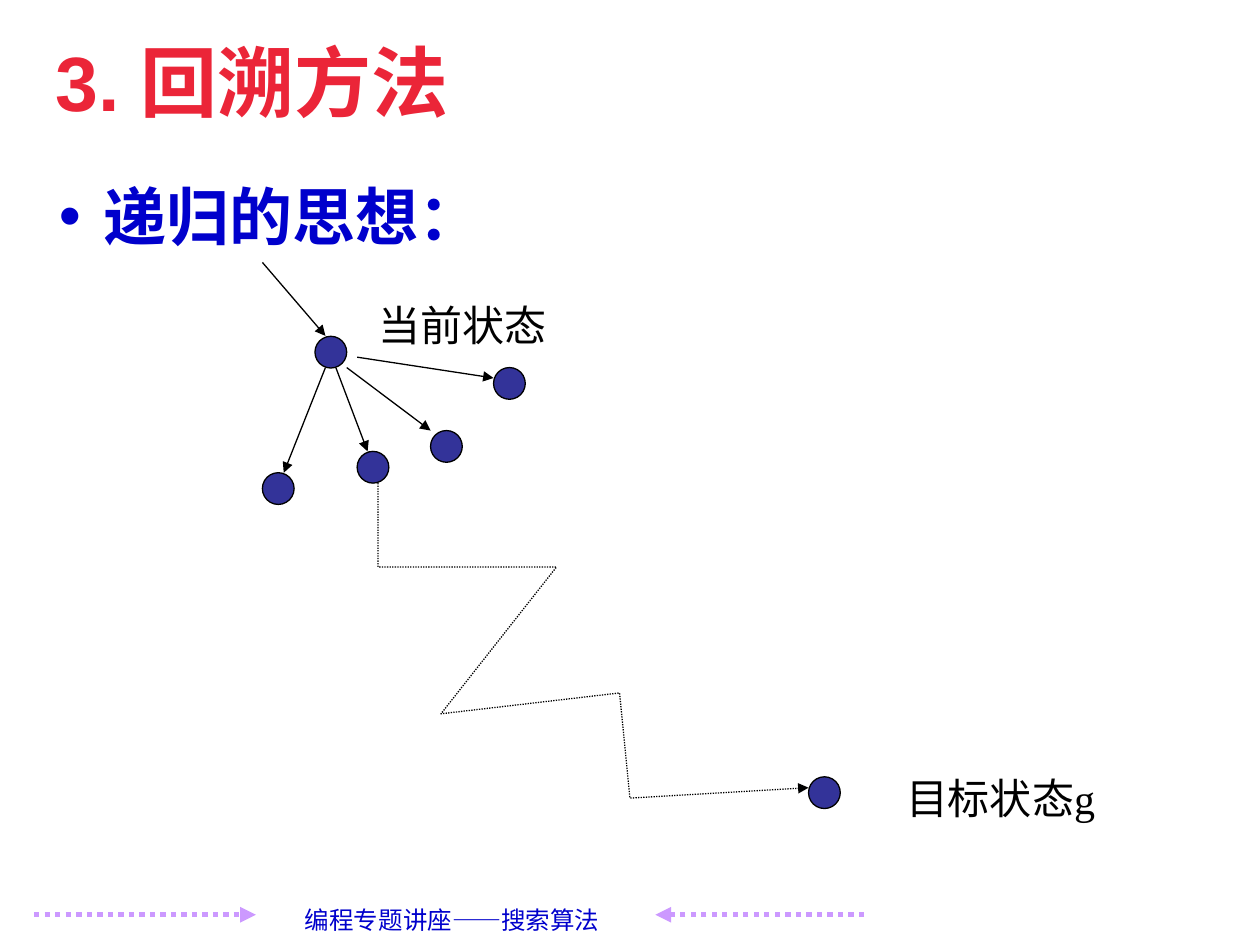
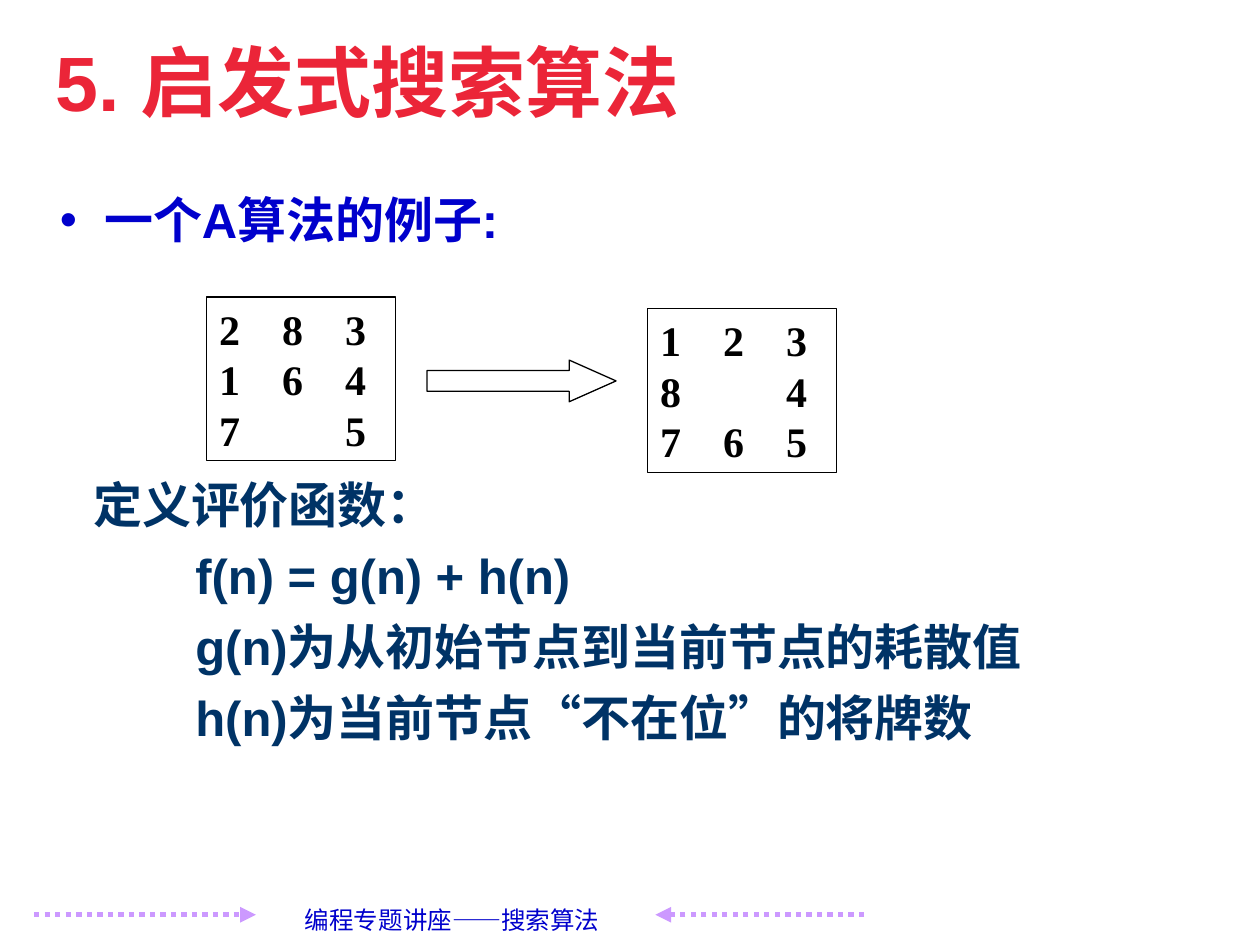
from lxml import etree
from pptx import Presentation
from pptx.dml.color import RGBColor
from pptx.enum import dml, lang, shapes, text
from pptx.oxml import ns
from pptx.util import Cm, Pt

COLORS = {
    "title": "EB2538", "heading": "0000CC", "definition": "003366",
    "footer_arrow": "CC99FF", "node": "333399", "black": "000000",
}
SANS, SERIF = "Arial", "Times New Roman"

# All positions and sizes are in centimetres.
TITLE_BOX = (0.86, 0.51, 22.76, 2.24)
FOOTER = "编程专题讲座——搜索算法"
FOOTER_BOX = (5.54, 18.11, 7.57, 0.86)
FOOTER_ARROWS = [((0.69, 18.44), (5.16, 18.44)), ((17.42, 18.44), (13.21, 18.44))]

BACKTRACKING = {
    "title": "3. 回溯方法",
    "heading": "递归的思想：",
    "body": (0.64, 3.23, 23.6, 14.66),
    "nodes": [(6.35, 6.78), (7.2, 9.1), (16.3, 15.66),
              (8.68, 8.68), (5.29, 9.53), (9.95, 7.41)],
    "moves": [((5.29, 5.29), (6.56, 6.77)), ((6.77, 7.41), (7.41, 9.1)),
              ((6.56, 7.41), (5.72, 9.53)), ((6.99, 7.41), (8.68, 8.68)),
              ((7.2, 7.2), (9.95, 7.62))],
    "route": [(7.62, 9.74), (7.62, 11.43), (11.22, 11.43), (8.89, 14.39),
              (12.49, 13.97), (12.7, 16.09), (16.3, 15.88)],
    "labels": [("当前状态", (7.37, 5.92, 3.89, 1.27)),
               ("目标状态g", (17.91, 15.44, 4.52, 1.27))],
}
NODE_SIZE = 0.64

HEURISTIC = {
    "title": "5. 启发式搜索算法",
    "heading": "一个A算法的例子:",
    "body": (0.66, 3.23, 24.74, 14.66),
    # text, indent, space before in points
    "definitions": [("定义评价函数：", 0.97, 129),
                    ("f(n) = g(n) + h(n)", 3.03, 7),
                    ("g(n)为从初始节点到当前节点的耗散值", 3.03, 7),
                    ("h(n)为当前节点“不在位”的将牌数", 3.03, 7)],
    "boards": [((4.17, 5.99), ["283", "164", "7 5"]),
               ((13.06, 6.22), ["123", "8 4", "765"])],
    "arrow": (8.61, 7.26, 3.81, 0.84),
}
BOARD_SIZE = (3.81, 3.3)
TILE_STEP = 1.27


def cm(values):
    return [Cm(value) for value in values]


def rgb(name):
    return RGBColor.from_string(COLORS[name])


def add_xml(parent, tag, **attributes):
    element = etree.SubElement(parent, ns.qn(tag))
    for name, value in attributes.items():
        element.set(name, str(value))
    return element


def write(paragraph, content, size, color, font=SANS, bold=False, align=None,
          before=0, spacing=None):
    run = paragraph.add_run()
    run.text = content
    run.font.name, run.font.size, run.font.bold = font, Pt(size), bold
    run.font.color.rgb = rgb(color)
    run.font.language_id = lang.MSO_LANGUAGE_ID.SIMPLIFIED_CHINESE
    paragraph.alignment = align or text.PP_ALIGN.LEFT
    paragraph.space_before = Pt(before)
    if spacing:
        paragraph.line_spacing = spacing


def indent(paragraph, left, first=0):
    properties = paragraph._p.get_or_add_pPr()
    properties.set("marL", str(Cm(left)))
    properties.set("indent", str(Cm(first)))
    return properties


def style_line(shape, color="black", width=0.75, dotted=False, arrow=False):
    shape.line.color.rgb = rgb(color)
    shape.line.width = Pt(width)
    if dotted:
        shape.line.dash_style = dml.MSO_LINE.ROUND_DOT
    if arrow:
        add_xml(shape.line._get_or_add_ln(), "a:tailEnd", type="triangle")


def add_arrow(slide, start, end, **line):
    connector = slide.shapes.add_connector(
        shapes.MSO_CONNECTOR.STRAIGHT, *cm(start + end))
    style_line(connector, arrow=True, **line)
    add_xml(connector._element.spPr, "a:effectLst")


def style_shape(shape, fill=None, **line):
    shape.shadow.inherit = False
    if fill:
        shape.fill.solid()
        shape.fill.fore_color.rgb = rgb(fill)
    else:
        shape.fill.background()
    style_line(shape, **line)


def add_text_box(slide, box, wrap=True):
    frame = slide.shapes.add_textbox(*cm(box)).text_frame
    frame.word_wrap = wrap
    return frame


def add_slide(presentation, content, heading_size, spacing, before=0):
    """Add a slide with title, footer and bulleted heading; return it and its body."""
    slide = presentation.slides.add_slide(presentation.slide_layouts[5])
    for start, end in FOOTER_ARROWS:
        add_arrow(slide, start, end, color="footer_arrow", width=3, dotted=True)
    footer = add_text_box(slide, FOOTER_BOX)
    footer.margin_right = Cm(0.66)
    write(footer.paragraphs[0], FOOTER, 14, "heading", align=text.PP_ALIGN.CENTER)

    title = slide.shapes.title
    title.left, title.top, title.width, title.height = cm(TITLE_BOX)
    title.text_frame.vertical_anchor = text.MSO_ANCHOR.MIDDLE
    title.text_frame.auto_size = text.MSO_AUTO_SIZE.NONE
    write(title.text_frame.paragraphs[0], content["title"], 44, "title", bold=True)

    body = add_text_box(slide, content["body"])
    paragraph = body.paragraphs[0]
    write(paragraph, content["heading"], heading_size, "heading", bold=True,
          before=before, spacing=spacing)
    properties = indent(paragraph, 1.19, -0.89)
    add_xml(add_xml(properties, "a:buClr"), "a:srgbClr", val=COLORS["heading"])
    add_xml(properties, "a:buFont", typeface=SANS)
    add_xml(properties, "a:buChar", char="•")
    return slide, body


def add_board(slide, position, rows):
    """Add a puzzle board; a space in a row is the empty tile."""
    board = slide.shapes.add_shape(
        shapes.MSO_SHAPE.RECTANGLE, *cm(position + BOARD_SIZE))
    style_shape(board)
    frame = board.text_frame
    frame.vertical_anchor = text.MSO_ANCHOR.MIDDLE
    for index, row in enumerate(rows):
        paragraph = frame.add_paragraph() if index else frame.paragraphs[0]
        tiles = "\t".join(tile.strip() for tile in row)
        write(paragraph, tiles, 24, "black", font=SERIF, bold=True)
        tabs = add_xml(paragraph._p.get_or_add_pPr(), "a:tabLst")
        for step in range(1, len(row)):
            add_xml(tabs, "a:tab", pos=Cm(step * TILE_STEP), algn="l")


def build_backtracking(presentation):
    content = BACKTRACKING
    slide, _ = add_slide(presentation, content, 36, 1.15)
    for position in content["nodes"]:
        node = slide.shapes.add_shape(
            shapes.MSO_SHAPE.OVAL, *cm(position + (NODE_SIZE, NODE_SIZE)))
        style_shape(node, fill="node")
    for start, end in content["moves"]:
        add_arrow(slide, start, end)
    first, *rest = [cm(point) for point in content["route"]]
    builder = slide.shapes.build_freeform(*first)
    builder.add_line_segments(rest, close=False)
    style_shape(builder.convert_to_shape(), dotted=True, arrow=True)
    for label, box in content["labels"]:
        frame = add_text_box(slide, box, wrap=False)
        frame.vertical_anchor = text.MSO_ANCHOR.MIDDLE
        write(frame.paragraphs[0], label, 24, "black", font=SERIF,
              align=text.PP_ALIGN.CENTER)


def build_heuristic(presentation):
    content = HEURISTIC
    slide, body = add_slide(presentation, content, 28, 1.4, before=7)
    for definition, left, before in content["definitions"]:
        paragraph = body.add_paragraph()
        write(paragraph, definition, 28, "definition", bold=True, before=before)
        indent(paragraph, left)
    for position, rows in content["boards"]:
        add_board(slide, position, rows)
    arrow = slide.shapes.add_shape(
        shapes.MSO_SHAPE.RIGHT_ARROW, *cm(content["arrow"]))
    arrow.adjustments[1] = 1.125
    style_shape(arrow)


def main():
    presentation = Presentation()
    presentation.slide_width, presentation.slide_height = Cm(25.4), Cm(19.05)
    build_backtracking(presentation)
    build_heuristic(presentation)
    presentation.save("out.pptx")


if __name__ == "__main__":
    main()
